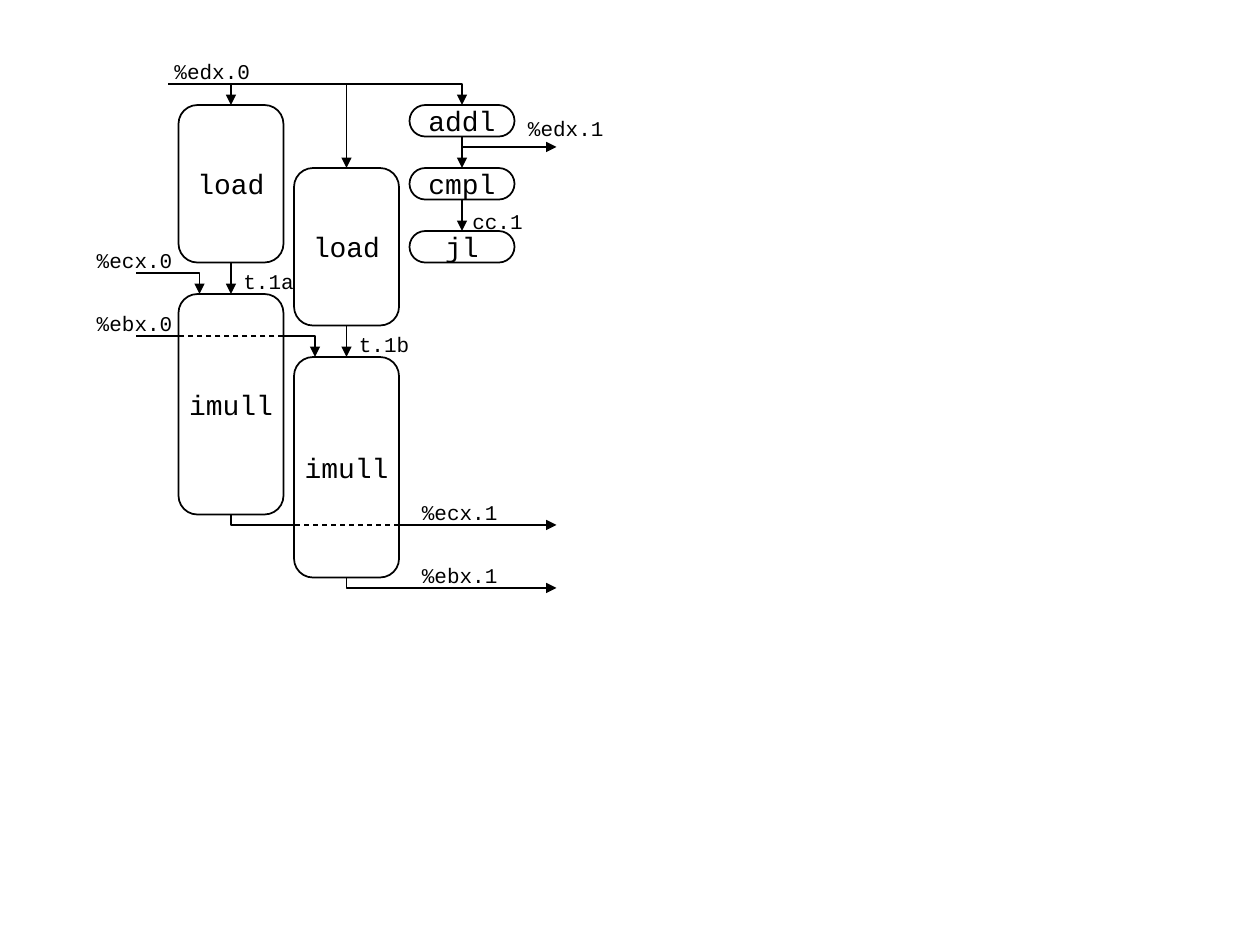
from lxml import etree
from pptx import Presentation
from pptx.dml.color import RGBColor
from pptx.enum.dml import MSO_LINE
from pptx.enum.shapes import MSO_CONNECTOR, MSO_SHAPE
from pptx.enum.text import MSO_ANCHOR, MSO_AUTO_SIZE, PP_ALIGN
from pptx.oxml.ns import qn
from pptx.util import Inches, Pt

STRAIGHT = MSO_CONNECTOR.STRAIGHT
ROUNDED = MSO_SHAPE.ROUNDED_RECTANGLE
DASH = MSO_LINE.DASH
LEFT, CENTER, RIGHT = PP_ALIGN.LEFT, PP_ALIGN.CENTER, PP_ALIGN.RIGHT
MIDDLE = MSO_ANCHOR.MIDDLE
FIT_SHAPE = MSO_AUTO_SIZE.SHAPE_TO_FIT_TEXT

FONT = "Courier New"
BLACK, WHITE = "000000", "FFFFFF"
TOP, BOTTOM = 0, 2

# Everything sits on a grid of twelve units to the inch
NODE_WIDTH = 10
LOAD_HEIGHT, MULTIPLY_HEIGHT, ALU_HEIGHT = 15, 21, 3
STAGE = 6                     # vertical offset between the two columns
FIRST, SECOND, THIRD = 17, 28, 39   # left edge of each column
CENTERS = [left + NODE_WIDTH / 2 for left in (FIRST, SECOND, THIRD)]
START, TURN, END = 16, 50, 53       # where wires begin, and outputs end
WIRE_Y, EDX_OUT, ECX_OUT, EBX_OUT = 8, 14, 50, 56
ECX_IN, EBX_IN = 26, 32


def grid(units):
    return Inches(units / 12)


def color(value):
    return RGBColor.from_string(value)


def style_line(line, width=0.75, arrow=False, dashed=False):
    line.color.rgb = color(BLACK)
    line.width = Pt(width)
    if dashed:
        line.dash_style = DASH
    if arrow:
        outline = line._get_or_add_ln()
        etree.SubElement(outline, qn("a:tailEnd"), type="triangle")


def write(frame, text, size, align):
    frame.word_wrap = False
    para = frame.paragraphs[0]
    para.alignment = align
    span = para.add_run()
    span.text = text
    span.font.name = FONT
    span.font.size = Pt(size)
    span.font.color.rgb = color(BLACK)


def add_node(page, text, left, top, height):
    box = page.shapes.add_shape(ROUNDED, grid(left), grid(top),
                                grid(NODE_WIDTH), grid(height))
    box.adjustments[0] = 0.5 if height == ALU_HEIGHT else 0.18
    box.shadow.inherit = False
    box.fill.solid()
    box.fill.fore_color.rgb = color(WHITE)
    style_line(box.line, 1)
    box.text_frame.vertical_anchor = MIDDLE
    write(box.text_frame, text, 16, CENTER)
    return box


def add_label(page, text, left, top, align=LEFT):
    width = Inches(0.2 + 0.1 * len(text))
    box = page.shapes.add_textbox(grid(left), grid(top), width, Inches(0.3))
    box.text_frame.auto_size = FIT_SHAPE
    write(box.text_frame, text, 12, align)


def add_wire(page, start, end, arrow=False, dashed=False):
    wire = page.shapes.add_connector(STRAIGHT, *map(grid, start + end))
    style_line(wire.line, arrow=arrow, dashed=dashed)
    etree.SubElement(wire._element.spPr, qn("a:effectLst"))
    return wire


def add_bent_wire(page, points, arrow=False):
    first, *rest = [(grid(x), grid(y)) for x, y in points]
    builder = page.shapes.build_freeform(*first)
    builder.add_line_segments(rest, close=False)
    wire = builder.convert_to_shape()
    wire.shadow.inherit = False
    wire.fill.background()
    style_line(wire.line, arrow=arrow)


def add_flow(page, source, target):
    wire = add_wire(page, (0, 0), (1, 1), arrow=True)
    wire.begin_connect(source, BOTTOM)
    wire.end_connect(target, TOP)


def main():
    deck = Presentation()
    deck.slide_width, deck.slide_height = Inches(10), Inches(7.5)
    page = deck.slides.add_slide(deck.slide_layouts[6])
    one, two, three = CENTERS

    # Bent wires, which pass beneath the nodes
    for points, arrow in [
        ([(START, WIRE_Y), (three, WIRE_Y), (three, 10)], True),
        ([(START, ECX_IN), (19, ECX_IN), (19, 28)], True),
        ([(START, EBX_IN), (30, EBX_IN), (30, 34)], True),
        ([(one, 49), (one, ECX_OUT), (TURN, ECX_OUT)], False),
        ([(two, 55), (two, EBX_OUT), (TURN, EBX_OUT)], False),
    ]:
        add_bent_wire(page, points, arrow)

    # Load and multiply columns, the second one stage later
    columns = []
    for index, left in enumerate((FIRST, SECOND)):
        top = 10 + index * STAGE
        load = add_node(page, "load", left, top, LOAD_HEIGHT)
        multiply = add_node(page, "imull", left, top + LOAD_HEIGHT + 3,
                            MULTIPLY_HEIGHT)
        add_flow(page, load, multiply)
        columns.append(load)

    # Loop control column
    control = [add_node(page, text, THIRD, 10 + row * STAGE, ALU_HEIGHT)
               for row, text in enumerate(("addl", "cmpl", "jl"))]
    for source, target in zip(control, control[1:]):
        add_flow(page, source, target)

    # Branches from the %edx.0 wire into both loads
    for center, load in zip(CENTERS, columns):
        branch = add_wire(page, (center, WIRE_Y), (center, 10), arrow=True)
        branch.end_connect(load, TOP)

    # Input stubs, output arrows and values passing through a node
    for y in (ECX_IN, EBX_IN):
        add_wire(page, (START, y), (13, y))
    add_wire(page, (three, EDX_OUT), (TURN, EDX_OUT))
    for y in (EDX_OUT, ECX_OUT, EBX_OUT):
        add_wire(page, (TURN, y), (END, y), arrow=True)
    for left, y in ((FIRST, EBX_IN), (SECOND, ECX_OUT)):
        add_wire(page, (left + NODE_WIDTH, y), (left, y), dashed=True)

    # Register and temporary names
    for text, left, top, align in [
        ("%edx.0", 15.4, 5, RIGHT),
        ("%ecx.0", 8, 23, RIGHT),
        ("%ebx.0", 8, 29, RIGHT),
        ("%edx.1", 49.1, 10.4, LEFT),
        ("%ecx.1", 39, 47, LEFT),
        ("%ebx.1", 39, 53, LEFT),
        ("cc.1", 43.8, 19.3, LEFT),
        ("t.1a", 22, 25, LEFT),
        ("t.1b", 33, 31, LEFT),
    ]:
        add_label(page, text, left, top, align)

    deck.save("out.pptx")


if __name__ == "__main__":
    main()
